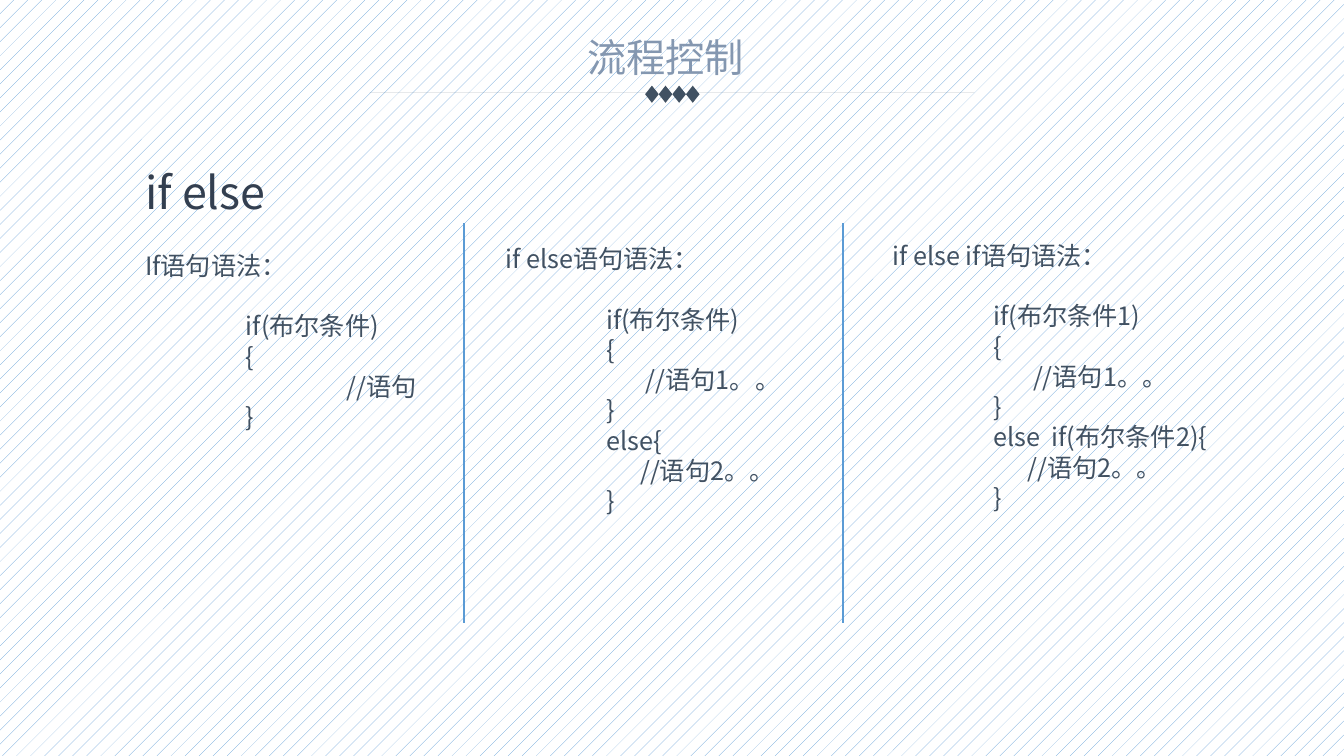
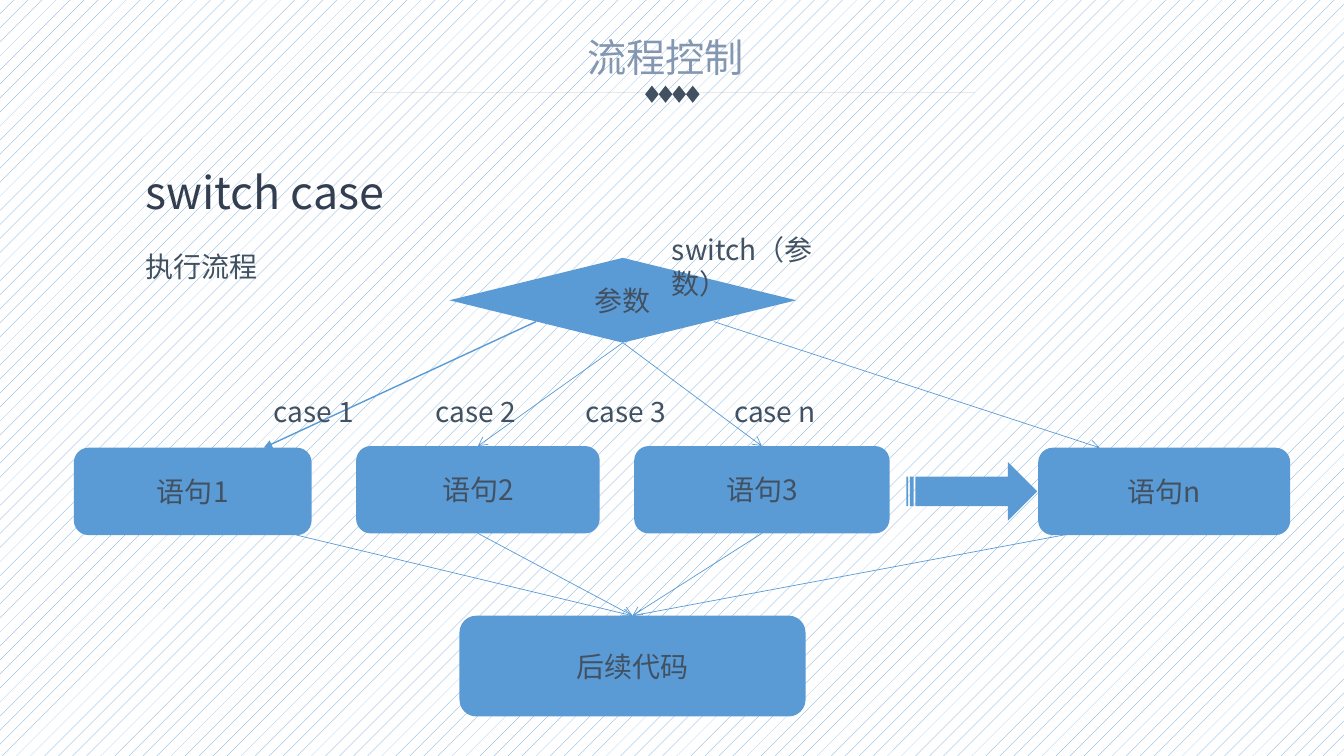
import pptx
import pptx.dml.color
import pptx.enum.dml
import pptx.enum.shapes
import pptx.enum.text
import pptx.oxml
import pptx.oxml.ns
import pptx.util
from dataclasses import dataclass

FORM = pptx.enum.shapes.MSO_SHAPE
ALIGN = pptx.enum.text.PP_ALIGN
ANCHOR = pptx.enum.text.MSO_ANCHOR
TOP, BOTTOM = 0, 2
COLS, ROWS = 160, 90
CELL = 76200  # one grid cell is a twelfth of an inch


@dataclass(frozen=True)
class Theme:
    font: str = "Noto Sans CJK SC"
    title: str = "8497B0"
    head: str = "333F50"
    ink: str = "415162"
    blue: str = "5B9BD5"
    white: str = "FFFFFF"
    title_size: int = 28
    head_size: int = 32
    body_size: int = 20
    code_size: int = 18
    leading: float = 1.2


def cells(*counts):
    return [pptx.util.Emu(round(n * CELL)) for n in counts]


def color(code):
    return pptx.dml.color.RGBColor.from_string(code)


def add_xml(parent, tag, **values):
    child = pptx.oxml.parse_xml(f"<a:{tag} {pptx.oxml.ns.nsdecls('a')}/>")
    for key, value in values.items():
        child.set(key, str(value))
    parent.append(child)
    return child


class Deck:
    """Holds the theme and the slide being drawn; lengths are grid cells."""

    def __init__(self, theme):
        self.theme = theme
        self.show = pptx.Presentation()
        self.show.slide_width, self.show.slide_height = cells(COLS, ROWS)
        fill = self.show.slide_master.background.fill
        fill.patterned()
        fill.pattern = pptx.enum.dml.MSO_PATTERN.PERCENT_5
        fill.fore_color.rgb = color(theme.blue)
        fill.back_color.rgb = color(theme.white)

    def start(self, title, head):
        """Adds a slide with its title, ornament and heading."""
        look = self.theme
        self.slide = self.show.slides.add_slide(self.show.slide_layouts[5])
        self.shapes = self.slide.shapes
        holder = self.shapes.title
        holder.left, holder.top, holder.width, holder.height = cells(64.2, 3.4, 30.1, 6.8)
        self.setup(holder.text_frame, 1.2, 0)
        self.say(holder.text_frame.paragraphs[0], title, look.title_size,
                 look.title, ALIGN.CENTER)
        for i in range(4):
            self.block(FORM.DIAMOND, 76.8 + 1.62 * i, 10.2, 1.62, 2.04, fill=look.ink)
        for tip, base in ((44.3, 76.9), (COLS - 44.3, COLS - 76.9)):
            self.wedge(tip, base, 11.16, 11.4)
        self.label(head, 16.1, 19, 55.6, 7.7, look.head_size, look.head)

    def setup(self, frame, side, edge, anchor=ANCHOR.MIDDLE):
        frame.word_wrap = True
        frame.auto_size = pptx.enum.text.MSO_AUTO_SIZE.NONE
        frame.vertical_anchor = anchor
        frame.margin_left, frame.margin_right = cells(side, side)
        frame.margin_top, frame.margin_bottom = cells(edge, edge)

    def say(self, para, text, size, ink, align=ALIGN.LEFT):
        """Adds one formatted run to a paragraph."""
        para.alignment = align
        run = para.add_run()
        run.text = text
        run.font.size = pptx.util.Pt(size)
        run.font.bold = False
        run.font.name = self.theme.font
        run.font.color.rgb = color(ink)
        add_xml(run.font._element, "ea", typeface=self.theme.font)

    def label(self, text, x, y, w, h, size=None, ink=None, side=1.2):
        box = self.shapes.add_textbox(*cells(x, y, w, h))
        self.setup(box.text_frame, side, 0)
        para = box.text_frame.paragraphs[0]
        self.say(para, text, size or self.theme.body_size, ink or self.theme.ink)
        return para

    def code(self, head, lines, x, y, w, h):
        """Sets a heading and, one line lower, tabbed lines of code."""
        size = self.theme.code_size
        pitch = pptx.util.Pt(size * self.theme.leading)
        frame = self.shapes.add_textbox(*cells(x, y, w, h)).text_frame
        self.setup(frame, 1.2, 0.8, ANCHOR.TOP)
        for i, line in enumerate([head, *lines]):
            para = frame.add_paragraph() if i else frame.paragraphs[0]
            tabs = add_xml(para._p.get_or_add_pPr(), "tabLst")
            for stop in (12, 24):
                add_xml(tabs, "tab", pos=stop * CELL, algn="l")
            para.line_spacing = pitch
            if i == 1:
                para.space_before = pitch
            self.say(para, line, size, self.theme.ink)

    def paint(self, shape, fill):
        shape.shadow.inherit = False
        shape.fill.solid()
        shape.fill.fore_color.rgb = color(fill)
        shape.line.fill.background()

    def block(self, form, x, y, w, h, text="", fill=None):
        shape = self.shapes.add_shape(form, *cells(x, y, w, h))
        self.paint(shape, fill or self.theme.blue)
        if text:
            self.setup(shape.text_frame, 0.6, 0.6)
            self.say(shape.text_frame.paragraphs[0], text, self.theme.body_size,
                     self.theme.ink, ALIGN.CENTER)
        return shape

    def wedge(self, tip, base, top, low):
        pen = self.shapes.build_freeform(tip, low, scale=CELL)
        pen.add_line_segments([(base, top), (base, low)], close=True)
        self.paint(pen.convert_to_shape(), self.theme.ink)

    def link(self, start, end, width=0.5, tip="arrow"):
        """Draws a line between ends, each a grid point or a (shape, site) pair."""
        line = self.shapes.add_connector(
            pptx.enum.shapes.MSO_CONNECTOR.STRAIGHT,
            *(spot for place in (start, end) for spot in self.spot(place)))
        for place, join in ((start, line.begin_connect), (end, line.end_connect)):
            if self.joined(place):
                join(*place)
        line.line.color.rgb = color(self.theme.blue)
        line.line.width = pptx.util.Pt(width)
        if tip:
            add_xml(line.line._get_or_add_ln(), "tailEnd", type=tip)
        add_xml(line._element.spPr, "effectLst")

    def joined(self, place):
        return not isinstance(place[0], (int, float))

    def spot(self, place):
        if not self.joined(place):
            return cells(*place)
        shape, site = place
        return [shape.left + shape.width // 2,
                shape.top + (shape.height if site == BOTTOM else 0)]


def draw_if(deck):
    deck.start("流程控制", "if else")
    deck.code("If语句语法：", ["\tif(布尔条件)", "\t{", "\t\t//语句", "\t}"],
              16.1, 29, 38.4, 26.6)
    deck.code("if else语句语法：",
              ["\tif(布尔条件)", "\t{", "\t       //语句1。。", "\t}",
               "\telse{", "\t      //语句2。。", "\t}"],
              59, 28.2, 41.2, 34)
    deck.code("if else if语句语法：",
              ["\tif(布尔条件1)", "\t{", "\t       //语句1。。", "\t}",
               "\telse  if(布尔条件2){", "\t      //语句2。。", "\t}"],
              105.1, 27.8, 44.2, 34)
    for x in (55.2, 100.4):
        deck.link((x, 26.6), (x, 74.2), 1.5, None)


def draw_switch(deck):
    deck.start("流程控制", "switch case")
    deck.label("执行流程", 16.1, 29, 127.9, 5.3)
    choice = deck.block(FORM.FLOWCHART_DECISION, 53.5, 30.7, 41.3, 10.1, "参数")
    steps = [deck.block(FORM.ROUNDED_RECTANGLE, x, y, w, 10.4, f"语句{mark}")
             for mark, x, y, w in (("1", 8.8, 53.3, 28.3), ("2", 42.4, 53.1, 29),
                                   ("3", 75.5, 53.1, 30.4), ("n", 123.6, 53.3, 30))]
    deck.block(FORM.STRIPED_RIGHT_ARROW, 107.9, 55, 15.6, 7)
    after = deck.block(FORM.ROUNDED_RECTANGLE, 54.7, 73.3, 41.2, 12, "后续代码")

    deck.link((63.8, 38.3), (31.4, 53.3), 1, "triangle")
    deck.link((85, 38.3), (130.9, 53.3))
    for step in steps[1:3]:
        deck.link((choice, BOTTOM), (step, TOP))
    for start in ((35.3, 63.7), (steps[1], BOTTOM), (steps[2], BOTTOM), (127.7, 63.5)):
        deck.link(start, (after, TOP))

    for mark, x in zip("123n", (32.6, 51.9, 69.7, 87.4)):
        deck.label(f"case {mark}", x, 46.5, 12, 5, side=0)
    para = deck.label("switch（参数）", 80, 27.7, 19.8, 8, side=0)
    para.line_spacing = pptx.util.Pt(deck.theme.body_size * deck.theme.leading)


def main():
    deck = Deck(Theme())
    draw_if(deck)
    draw_switch(deck)
    deck.show.save("out.pptx")


if __name__ == "__main__":
    main()
